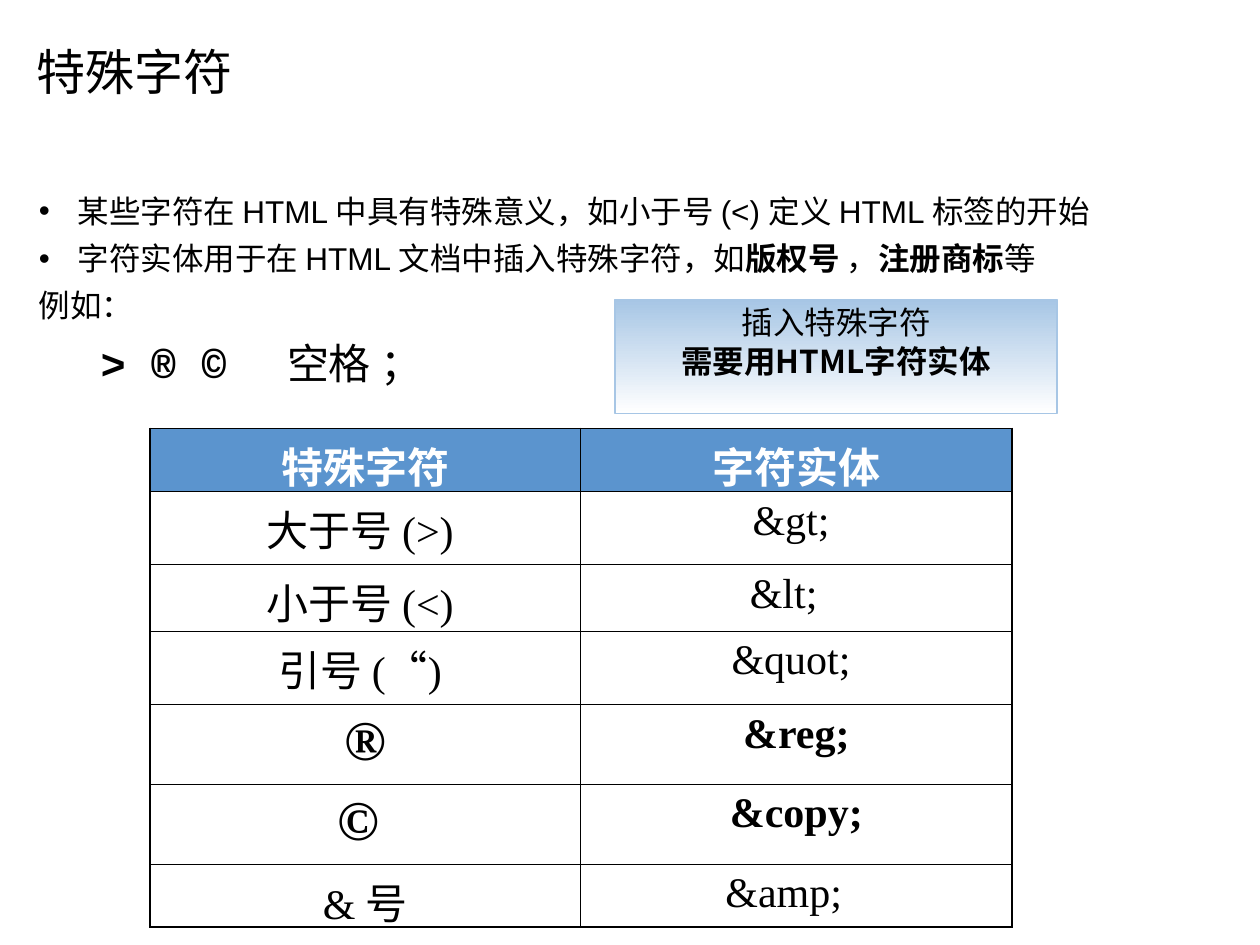
from pptx import Presentation
from pptx.dml.color import RGBColor
from pptx.enum.shapes import MSO_SHAPE
from pptx.enum.text import MSO_ANCHOR, MSO_AUTO_SIZE, PP_ALIGN
from pptx.oxml import parse_xml
from pptx.oxml.ns import nsdecls, qn
from pptx.util import Inches, Pt

BLACK = RGBColor(0x00, 0x00, 0x00)
WHITE = RGBColor(0xFF, 0xFF, 0xFF)
BLUE = RGBColor(0x5B, 0x94, 0xCE)
PALE = RGBColor(0xA7, 0xC6, 0xE5)
HAN = "Noto Sans CJK SC"
SERIF = "Times New Roman"


class Deck:
    """Holds the text style and the current slide."""

    def __init__(self):
        self.prs = Presentation()
        self.prs.slide_width = Inches(10)
        self.prs.slide_height = Inches(7.5)
        self.slide = self.prs.slides.add_slide(self.prs.slide_layouts[5])

    def run(self, para, text, size, font, bold=False, color=BLACK):
        run = para.add_run()
        run.text = text
        run.font.size = Pt(size)
        run.font.name = font
        run.font.bold = bold
        run.font.color.rgb = color
        # East Asian letters take their own font
        run.font._element.find(qn("a:latin")).addnext(
            parse_xml(f'<a:ea {nsdecls("a")} typeface="{HAN}"/>'))

    def place(self, shape, left, top, width, height):
        shape.left, shape.top = Inches(left), Inches(top)
        shape.width, shape.height = Inches(width), Inches(height)

    def title(self, text, *area):
        shape = self.slide.shapes.title
        self.place(shape, *area)
        frame = shape.text_frame
        frame.auto_size = MSO_AUTO_SIZE.NONE
        frame.vertical_anchor = MSO_ANCHOR.TOP
        para = frame.paragraphs[0]
        para.alignment = PP_ALIGN.LEFT
        self.run(para, text, 28, HAN)

    def box(self, *area):
        shape = self.slide.shapes.add_textbox(*map(Inches, area))
        shape.text_frame.word_wrap = True
        return shape.text_frame

    def body(self, items, *area):
        frame = self.box(*area)
        for i, (dot, runs) in enumerate(items):
            para = frame.add_paragraph() if i else frame.paragraphs[0]
            para.line_spacing = 1.25
            props = para._p.get_or_add_pPr()
            if dot:
                props.set("marL", str(Inches(0.31)))
                props.set("indent", str(-Inches(0.31)))
                props.append(parse_xml(f'<a:buFont {nsdecls("a")} typeface="Arial"/>'))
                props.append(parse_xml(f'<a:buChar {nsdecls("a")} char="•"/>'))
            for text, bold in runs:
                self.run(para, text, 18, "Arial", bold)

    def sample(self, signs, word, stop, *area):
        frame = self.box(*area)
        frame.vertical_anchor = MSO_ANCHOR.MIDDLE
        para = frame.paragraphs[0]
        para._p.get_or_add_pPr().append(parse_xml(
            f'<a:tabLst {nsdecls("a")}><a:tab pos="{Inches(stop)}" algn="l"/></a:tabLst>'))
        self.run(para, signs + "\t", 24, "Courier New", True)
        self.run(para, word, 24, "Courier New")

    def note(self, lines, *area):
        shape = self.slide.shapes.add_shape(MSO_SHAPE.RECTANGLE, *map(Inches, area))
        shape.shadow.inherit = False
        shape.fill.gradient()
        shape.fill.gradient_angle = 270
        for stop, color, pos in zip(shape.fill.gradient_stops, (PALE, WHITE), (0, 1)):
            stop.color.rgb = color
            stop.position = pos
        shape.line.color.rgb = PALE
        shape.line.width = Pt(0.75)
        frame = shape.text_frame
        frame.vertical_anchor = MSO_ANCHOR.TOP
        frame.margin_top = Inches(0.02)
        for i, (text, bold) in enumerate(lines):
            para = frame.add_paragraph() if i else frame.paragraphs[0]
            para.alignment = PP_ALIGN.CENTER
            para.line_spacing = Pt(22)
            self.run(para, text, 18, HAN, bold)

    def edge(self, cell, side, width):
        cell._tc.get_or_add_tcPr().append(parse_xml(
            f'<a:{side} {nsdecls("a")} w="{Pt(width)}"><a:solidFill>'
            f'<a:srgbClr val="{BLACK}"/></a:solidFill></a:{side}>'))

    def table(self, rows, heights, left, top, width):
        count, cols = len(rows), len(rows[0][0])
        frame = self.slide.shapes.add_table(
            count, cols, *map(Inches, (left, top, width, sum(heights))))
        grid = frame.table
        for row, height in zip(grid.rows, heights):
            row.height = Inches(height)
        for r, (texts, sizes, bold) in enumerate(rows):
            for c, (text, size) in enumerate(zip(texts, sizes)):
                cell = grid.cell(r, c)
                # Thick outside, thin inside
                outer = {"lnL": c == 0, "lnR": c == cols - 1,
                         "lnT": r == 0, "lnB": r == count - 1}
                for side, thick in outer.items():
                    self.edge(cell, side, 1.08 if thick else 0.45)
                if r == 0:
                    cell.fill.solid()
                    cell.fill.fore_color.rgb = BLUE
                else:
                    cell.fill.background()
                if text in ("&lt;", "&amp;"):
                    cell.margin_right = Inches(0.3)
                para = cell.text_frame.paragraphs[0]
                para.alignment = PP_ALIGN.CENTER
                self.run(para, text, size, SERIF, bold, BLACK if r else WHITE)


def main():
    deck = Deck()

    # Title and points
    deck.title("特殊字符", 0.19, 0.28, 3.24, 0.57)
    deck.body([
        (True, [("某些字符在 HTML 中具有特殊意义，如小于号 (<) 定义 HTML 标签的开始", False)]),
        (True, [("字符实体用于在 HTML 文档中插入特殊字符，如", False), ("版权号", True),
                (" ，", False), ("注册商标", True), ("等", False)]),
        (False, [("例如：", False)]),
    ], 0.21, 1.4, 8.91, 1.98)

    # Sample signs and callout
    deck.sample("> ® ©", "空格 ；", 1.48, 0.7, 2.63, 5.04, 0.5)
    deck.note([("插入特殊字符", False), ("需要用HTML字符实体", True)],
              4.88, 2.38, 3.51, 0.9)

    # Table of entities: texts, sizes, bold
    plain, large = (24, 24), (32, 24)
    deck.table([
        (("特殊字符", "字符实体"), plain, True),
        (("大于号 (>) ", "&gt; "), plain, False),
        (("小于号 (<) ", "&lt;"), plain, False),
        (("引号 (“) ", "&quot; "), plain, False),
        (("®", "&reg;"), large, True),
        (("© ", "&copy;"), large, True),
        (("& 号", "&amp;"), plain, False),
    ], (0.5, 0.58, 0.53, 0.58, 0.63, 0.63, 0.5), 1.19, 3.4, 6.84)

    deck.prs.save("out.pptx")


if __name__ == "__main__":
    main()
